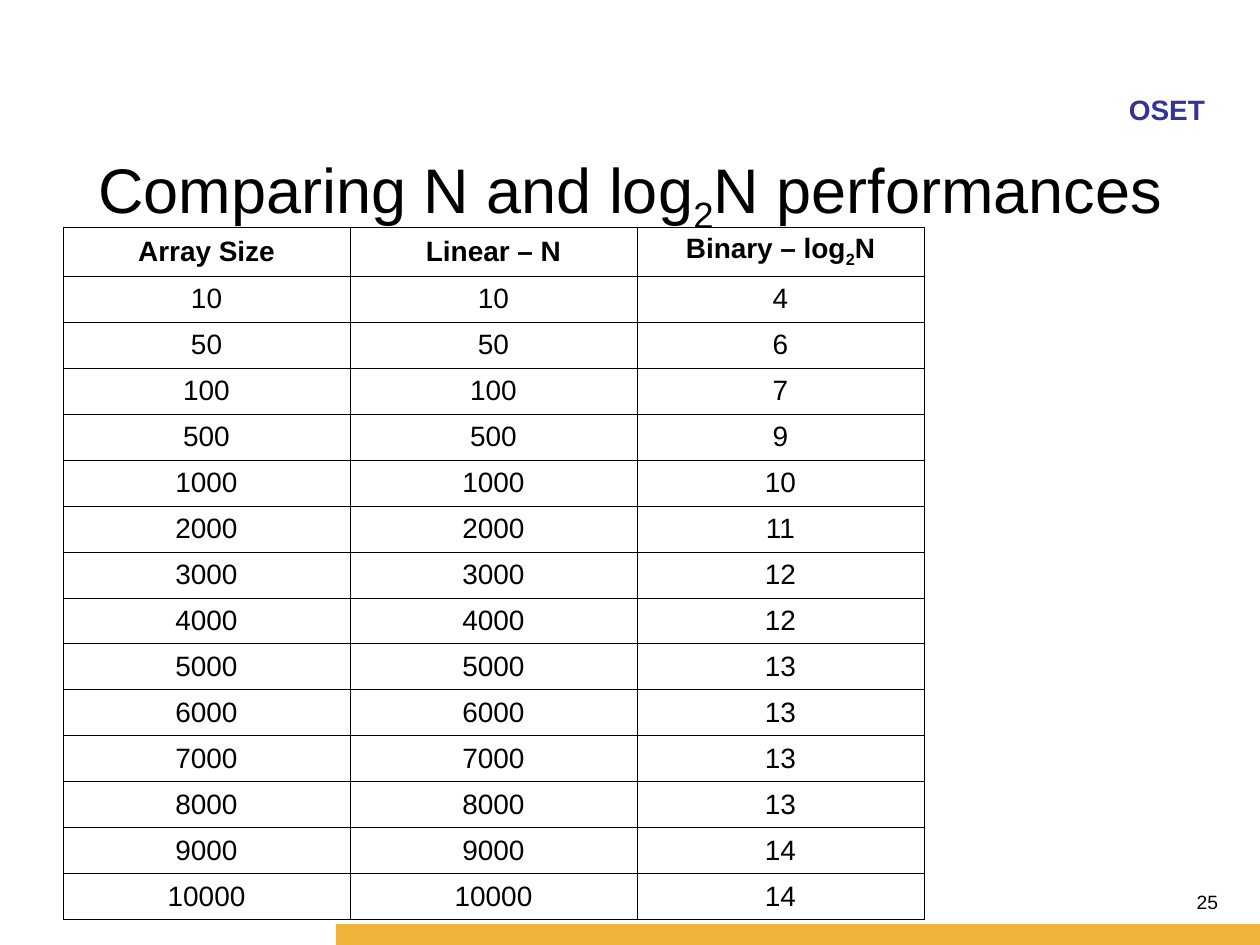
from lxml import etree
from pptx import Presentation
from pptx.dml.color import RGBColor
from pptx.enum.shapes import MSO_SHAPE
from pptx.enum.text import MSO_ANCHOR, MSO_AUTO_SIZE, PP_ALIGN
from pptx.oxml.ns import qn
from pptx.util import Inches, Pt

RECTANGLE = MSO_SHAPE.RECTANGLE
TOP, MIDDLE = MSO_ANCHOR.TOP, MSO_ANCHOR.MIDDLE
NO_AUTOFIT = MSO_AUTO_SIZE.NONE
CENTER, RIGHT = PP_ALIGN.CENTER, PP_ALIGN.RIGHT

SCALE = Inches(1) / 126
COLORS = {"text": "000000", "header": "333399", "bar": "F1B43B", "cell": "FFFFFF", "border": "000000"}
FONT = "Arial"
SUBSCRIPT = "-25000"
BORDER_WIDTH = Pt(0.45)
MARGINS = {"margin_left": 13, "margin_right": 13, "margin_top": 6, "margin_bottom": 6}

HEADINGS = [["Array Size"], ["Linear – N"], ["Binary – log", "2", "N"]]
LOG_STEPS = {
    10: 4, 50: 6, 100: 7, 500: 9, 1000: 10, 2000: 11, 3000: 12, 4000: 12,
    5000: 13, 6000: 13, 7000: 13, 8000: 13, 9000: 14, 10000: 14,
}


def px(length):
    """Turn whole pixels into EMU."""
    return round(length * SCALE)


class SlideBuilder:
    """Holds the style and the current slide."""

    def __init__(self, slide):
        self.slide = slide
        self.shapes = slide.shapes

    def add_runs(self, paragraph, parts, size, color="text", bold=False, align=CENTER):
        """Fill a paragraph with runs, every second one a subscript."""
        paragraph.alignment = align
        font_values = {"name": FONT, "size": Pt(size), "bold": bold}
        for index, part in enumerate(parts):
            run = paragraph.add_run()
            run.text = part
            for name, value in font_values.items():
                setattr(run.font, name, value)
            run.font.color.rgb = RGBColor.from_string(COLORS[color])
            if index % 2:
                run.font._element.set("baseline", SUBSCRIPT)

    def format_frame(self, frame, drop):
        """Set the wrapping, anchor and insets, with the text lowered by drop."""
        values = {"word_wrap": True, "auto_size": NO_AUTOFIT, "vertical_anchor": TOP}
        values.update({name: px(length) for name, length in MARGINS.items()})
        values["margin_top"] = px(MARGINS["margin_top"] + drop)
        for name, value in values.items():
            setattr(frame, name, value)

    def title(self, parts, box, size, drop):
        """Place and fill the title placeholder."""
        title = self.shapes.title
        for name, length in zip(("left", "top", "width", "height"), box):
            setattr(title, name, px(length))
        self.format_frame(title.text_frame, drop)
        self.add_runs(title.text_frame.paragraphs[0], parts, size)

    def label(self, text, box, size, drop, **style):
        """Add a right-aligned text box."""
        frame = self.shapes.add_textbox(*map(px, box)).text_frame
        self.format_frame(frame, drop)
        self.add_runs(frame.paragraphs[0], [text], size, align=RIGHT, **style)

    def bar(self, box, color):
        """Add a plain filled rectangle."""
        bar = self.shapes.add_shape(RECTANGLE, *map(px, box))
        bar.shadow.inherit = False
        bar.fill.solid()
        bar.fill.fore_color.rgb = RGBColor.from_string(COLORS[color])
        bar.line.fill.background()

    def border(self, cell):
        """Draw a thin line on all four sides of a cell."""
        properties = cell._tc.get_or_add_tcPr()
        for side in ("lnL", "lnR", "lnT", "lnB"):
            line = etree.SubElement(properties, qn(f"a:{side}"), w=str(int(BORDER_WIDTH)))
            fill = etree.SubElement(line, qn("a:solidFill"))
            etree.SubElement(fill, qn("a:srgbClr"), val=COLORS["border"])

    def table(self, rows, left, top, column_width, heights, size):
        """Add a bordered table with a bold heading row."""
        columns = len(rows[0])
        box = (left, top, column_width * columns, sum(heights))
        table = self.shapes.add_table(len(rows), columns, *map(px, box)).table
        table.first_row = table.horz_banding = False
        for column in table.columns:
            column.width = px(column_width)
        for row_index, (row, height) in enumerate(zip(rows, heights)):
            table.rows[row_index].height = px(height)
            for column_index, parts in enumerate(row):
                cell = table.cell(row_index, column_index)
                self.border(cell)
                cell.fill.solid()
                cell.fill.fore_color.rgb = RGBColor.from_string(COLORS["cell"])
                cell.vertical_anchor = MIDDLE
                for name, length in MARGINS.items():
                    setattr(cell, name, px(length))
                self.add_runs(cell.text_frame.paragraphs[0], parts, size, bold=row_index == 0)


def main():
    """Build and save the slide."""
    deck = Presentation()
    deck.slide_width, deck.slide_height = px(1260), px(945)
    builder = SlideBuilder(deck.slides.add_slide(deck.slide_layouts[5]))
    builder.label("OSET", (850, 84, 368, 42), 16, 3, color="header", bold=True)
    builder.bar((336, 924, 924, 21), "bar")
    builder.title(["Comparing N and log", "2", "N performances"], (63, 136, 1134, 84), 36, 8)
    rows = [HEADINGS] + [[[str(n)], [str(n)], [str(steps)]] for n, steps in LOG_STEPS.items()]
    builder.table(rows, 63, 227, 287, [49] + [46] * len(LOG_STEPS), 16)
    builder.label("25", (937, 882, 294, 66), 11, 2)
    deck.save("out.pptx")


if __name__ == "__main__":
    main()
